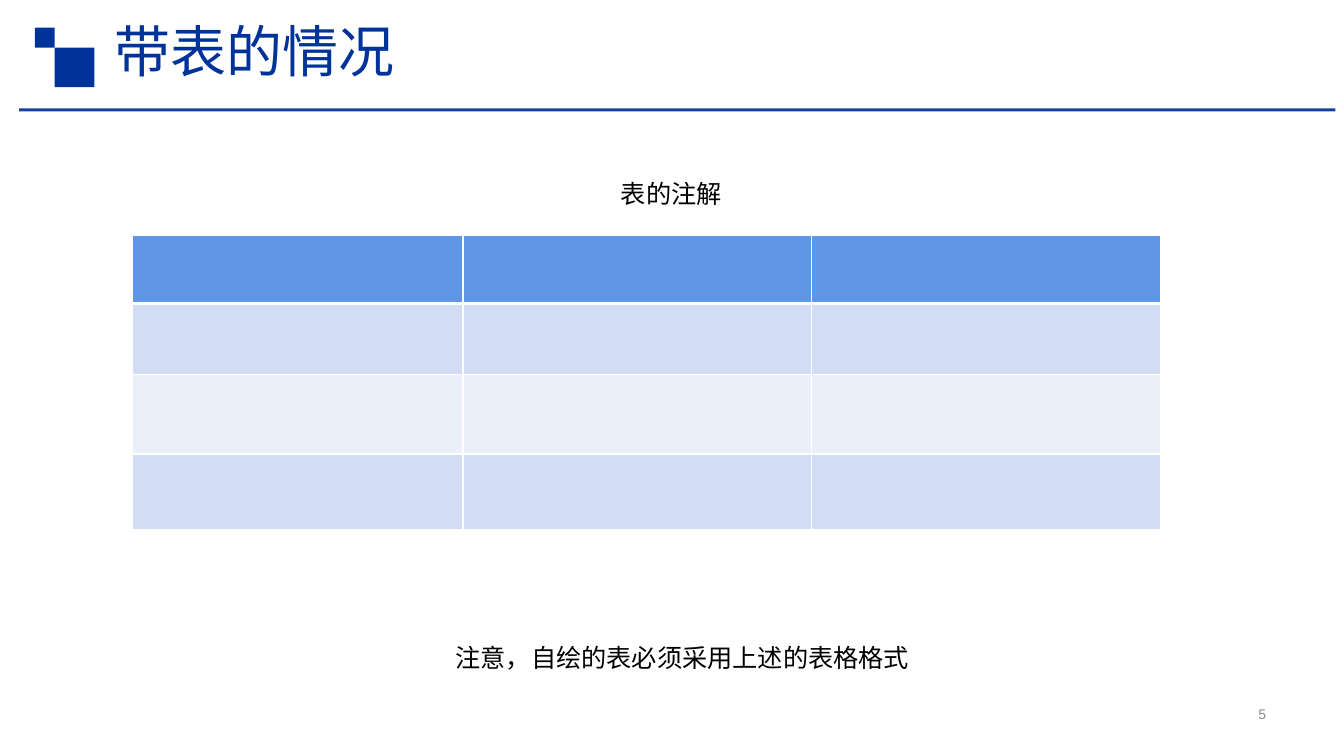
"""Build a slide that shows the required table format."""
from lxml import etree
from pptx import Presentation
from pptx.dml.color import RGBColor
from pptx.enum import shapes, text
from pptx.oxml import ns
from pptx.util import Cm, Pt

COLORS = {"navy": "003399", "header": "6096E6", "band": "D2DDF5", "light": "EAEFFA",
          "white": "FFFFFF", "black": "000000", "grey": "8C8C8C"}
CHINESE_FONT = "Noto Sans CJK SC"


def color(name):
    """Return a named colour."""
    return RGBColor.from_string(COLORS[name])


def add_element(parent, tag, **attributes):
    """Append a drawing element to its parent."""
    return etree.SubElement(parent, ns.qn(tag), attributes)


def write(shape, words, size, color_name, font="Arial", align=text.PP_ALIGN.LEFT,
          anchor=text.MSO_ANCHOR.TOP, wrap=True):
    """Put one formatted paragraph in a shape."""
    frame = shape.text_frame
    frame.word_wrap = wrap
    frame.vertical_anchor = anchor
    frame.auto_size = text.MSO_AUTO_SIZE.NONE
    paragraph = frame.paragraphs[0]
    paragraph.text = words
    paragraph.alignment = align
    paragraph.font.size = Pt(size)
    paragraph.font.color.rgb = color(color_name)
    paragraph.font.name = font
    properties = paragraph._p.pPr.find(ns.qn("a:defRPr"))
    add_element(properties, "a:ea", typeface=CHINESE_FONT)


def add_label(slide, box, words, size, color_name, **options):
    """Add a text box with one line of text."""
    label = slide.shapes.add_textbox(*map(Cm, box))
    write(label, words, size, color_name, **options)


def add_header(slide, left, top, width):
    """Place the squares, the title and the rule below them."""
    for offset, side in ((0.5, 1), (0, 0.5)):
        square = slide.shapes.add_shape(shapes.MSO_SHAPE.RECTANGLE, Cm(left + 0.4 + offset),
                                        Cm(top + 0.4 + offset), Cm(side), Cm(side))
        square.shadow.inherit = False
        square.fill.solid()
        square.fill.fore_color.rgb = color("navy")
        square.line.fill.background()
    title = slide.shapes.title
    title.left, title.top = Cm(left + 2.16), Cm(top)
    title.width, title.height = Cm(13.64), Cm(1.96)
    write(title, "带表的情况", 40, "navy", font=CHINESE_FONT)
    rule_top = Cm(top + 2.47)
    rule = slide.shapes.add_connector(shapes.MSO_CONNECTOR.STRAIGHT, Cm(left), rule_top,
                                      Cm(left + width), rule_top)
    rule.line.color.rgb = color("navy")
    rule.line.width = Pt(2.25)
    add_element(next(rule._element.iter(ns.qn("a:srgbClr"))), "a:alpha", val="93000")
    add_element(rule._element.spPr, "a:effectLst")


def format_cell(cell, fill, top_width, bottom_width):
    """Give a cell white borders and a fill."""
    properties = cell._tc.get_or_add_tcPr()
    for side, width in (("L", 1), ("R", 1), ("T", top_width), ("B", bottom_width)):
        border = add_element(properties, f"a:ln{side}", w=str(Pt(width)))
        border_fill = add_element(border, "a:solidFill")
        add_element(border_fill, "a:srgbClr", val=COLORS["white"])
    cell.fill.solid()
    cell.fill.fore_color.rgb = color(fill)


def add_sample_table(slide, left, top):
    """Place the empty banded table."""
    widths = (8.33, 8.79, 8.79)
    heights = (1.73, 1.78, 2.01, 1.9)
    fills = ("header", "band", "light", "band")
    table = slide.shapes.add_table(len(heights), len(widths), Cm(left), Cm(top),
                                   Cm(sum(widths)), Cm(sum(heights))).table
    for column, width in zip(table.columns, widths):
        column.width = Cm(width)
    for index, (row, height, fill) in enumerate(zip(table.rows, heights, fills)):
        row.height = Cm(height)
        for cell in row.cells:
            format_cell(cell, fill, 3 if index == 1 else 1, 3 if index == 0 else 1)


def main():
    """Assemble and save the slide."""
    presentation = Presentation()
    presentation.slide_width, presentation.slide_height = Cm(33.87), Cm(19.05)
    slide = presentation.slides.add_slide(presentation.slide_layouts[5])
    add_header(slide, 0.48, 0.3, 33.17)
    add_label(slide, (24.66, 17.55, 7.5, 0.89), "5", 10, "grey",
              align=text.PP_ALIGN.RIGHT, anchor=text.MSO_ANCHOR.MIDDLE)
    add_sample_table(slide, 3.34, 5.92)
    add_label(slide, (15.4, 4.37, 3.07, 1.02), "表的注解", 18, "black", wrap=False)
    add_label(slide, (11.23, 16.05, 12.07, 1.02), "注意，自绘的表必须采用上述的表格格式",
              18, "black", wrap=False)
    presentation.save("out.pptx")


if __name__ == "__main__":
    main()
